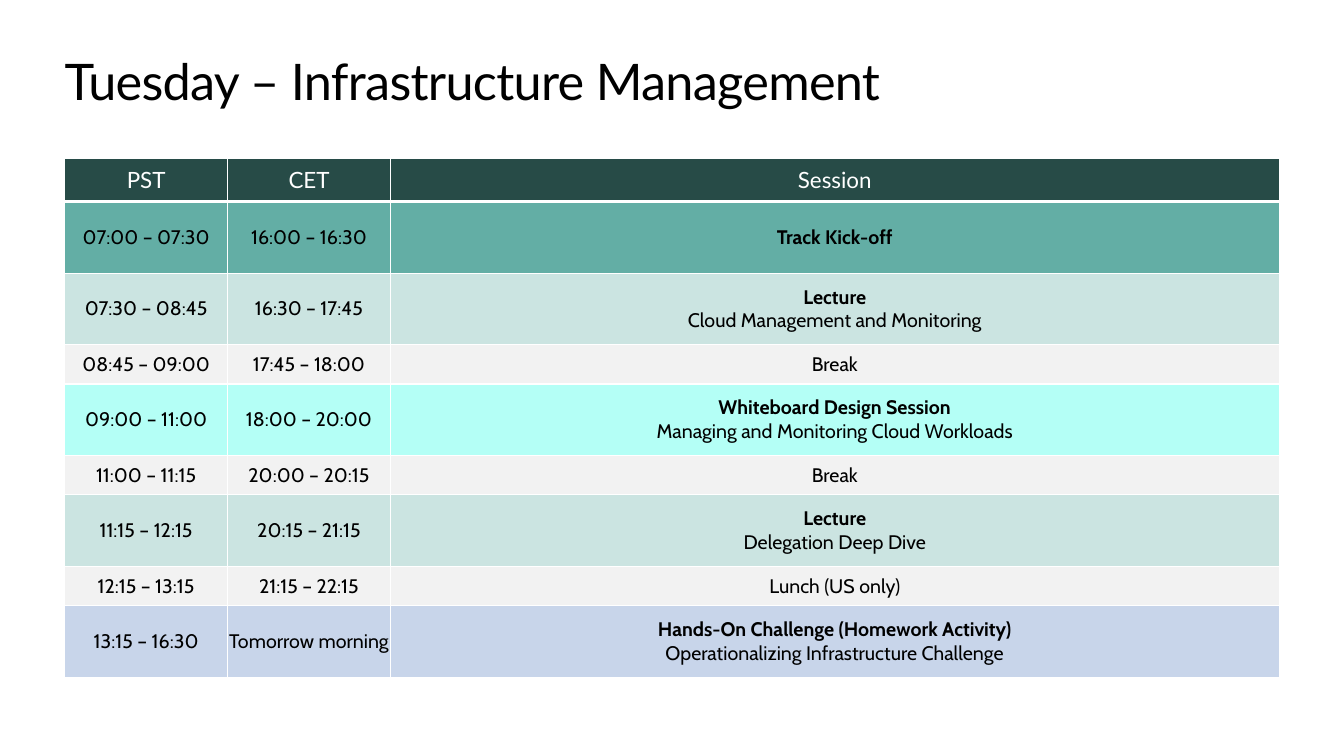
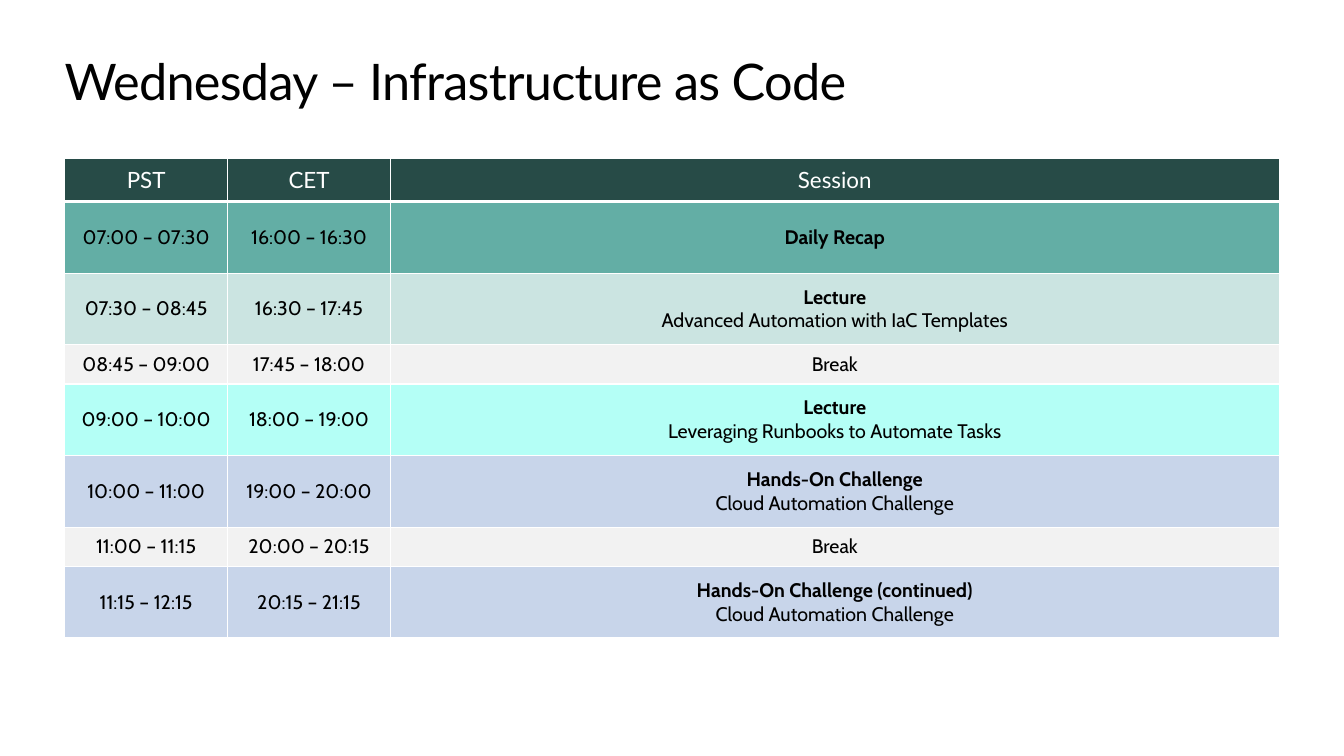
from lxml.etree import SubElement
from pptx import Presentation
from pptx.dml.color import RGBColor
from pptx.enum.text import MSO_ANCHOR as Anchor, PP_ALIGN as Align
from pptx.oxml import parse_xml
from pptx.oxml.ns import nsdecls, qn
from pptx.util import Inches, Pt

HEADING_FONT, BODY_FONT = "Lato", "Cabin"
BLACK, WHITE, HEADER_FILL = "000000", "FFFFFF", "274B47"
FILLS = {
    "opening": "63AEA5",
    "lecture": "CBE4E1",
    "break": "F2F2F2",
    "feature": "B4FFF6",
    "challenge": "C8D5EA",
}
LEFT, WIDTH = 0.64, 12.05
TITLE_TOP, TITLE_HEIGHT, TABLE_TOP = 0.5, 0.61, 1.57
COLUMNS = [("PST", 1.62), ("CET", 1.61), ("Session", 8.82)]
HEADER_HEIGHT, BREAK_HEIGHT, SESSION_HEIGHT = 0.43, 0.39, 0.71
THIN, THICK = 1, 3

DAYS = [
    ("Tuesday – Infrastructure Management", [
        ("opening", "07:00 – 07:30", "16:00 – 16:30", "Track Kick-off", ""),
        ("lecture", "07:30 – 08:45", "16:30 – 17:45", "Lecture", "Cloud Management and Monitoring"),
        ("break", "08:45 – 09:00", "17:45 – 18:00", "", "Break"),
        ("feature", "09:00 – 11:00", "18:00 – 20:00", "Whiteboard Design Session",
         "Managing and Monitoring Cloud Workloads"),
        ("break", "11:00 – 11:15", "20:00 – 20:15", "", "Break"),
        ("lecture", "11:15 – 12:15", "20:15 – 21:15", "Lecture", "Delegation Deep Dive"),
        ("break", "12:15 – 13:15", "21:15 – 22:15", "", "Lunch (US only)"),
        ("challenge", "13:15 – 16:30", "Tomorrow morning", "Hands-On Challenge (Homework Activity)",
         "Operationalizing Infrastructure Challenge"),
    ]),
    ("Wednesday – Infrastructure as Code", [
        ("opening", "07:00 – 07:30", "16:00 – 16:30", "Daily Recap", ""),
        ("lecture", "07:30 – 08:45", "16:30 – 17:45", "Lecture", "Advanced Automation with IaC Templates"),
        ("break", "08:45 – 09:00", "17:45 – 18:00", "", "Break"),
        ("feature", "09:00 – 10:00", "18:00 – 19:00", "Lecture", "Leveraging Runbooks to Automate Tasks"),
        ("challenge", "10:00 – 11:00", "19:00 – 20:00", "Hands-On Challenge", "Cloud Automation Challenge"),
        ("break", "11:00 – 11:15", "20:00 – 20:15", "", "Break"),
        ("challenge", "11:15 – 12:15", "20:15 – 21:15", "Hands-On Challenge (continued)",
         "Cloud Automation Challenge"),
    ]),
]


def rgb(color):
    return RGBColor.from_string(color)


def set_font(p, name, size, color):
    p.font.name, p.font.size = name, Pt(size)
    p.font.color.rgb = rgb(color)


def clear_margins(box):
    box.margin_left = box.margin_top = box.margin_right = box.margin_bottom = 0


def set_borders(cell, top, bottom):
    tc_pr = cell._tc.get_or_add_tcPr()
    sides = {"L": THIN, "R": THIN, "T": top, "B": bottom}
    for i, (side, width) in enumerate(sides.items()):
        ln = parse_xml(f'<a:ln{side} {nsdecls("a")} w="{Pt(width)}"/>')
        SubElement(SubElement(ln, qn("a:solidFill")), qn("a:srgbClr"), val=WHITE)
        tc_pr.insert(i, ln)


def fill_cell(cell, heading, detail, fill, font, top=THIN, bottom=THIN):
    clear_margins(cell)
    cell.vertical_anchor = Anchor.MIDDLE
    cell.fill.solid()
    cell.fill.fore_color.rgb = rgb(fill)
    set_borders(cell, top, bottom)
    p = cell.text_frame.paragraphs[0]
    p.alignment = Align.CENTER
    set_font(p, *font)
    if heading and detail:
        parts = [(heading, True), (None, None), (detail, False)]
    else:
        parts = [(heading or detail, bool(heading))]
    for text, bold in parts:
        if text is None:
            p.add_line_break()
        else:
            r = p.add_run()
            r.text, r.font.bold = text, bold


def add_title(s, title):
    tf = s.shapes.add_textbox(Inches(LEFT), Inches(TITLE_TOP), Inches(WIDTH), Inches(TITLE_HEIGHT)).text_frame
    tf.word_wrap = True
    clear_margins(tf)
    p = tf.paragraphs[0]
    set_font(p, HEADING_FONT, 36, BLACK)
    r = p.add_run()
    r.text = title
    r._r.get_or_add_rPr().set("spc", "-50")


def add_agenda(s, sessions):
    heights = [HEADER_HEIGHT] + [
        BREAK_HEIGHT if kind == "break" else SESSION_HEIGHT for kind, *_ in sessions]
    table = s.shapes.add_table(len(heights), len(COLUMNS), Inches(LEFT), Inches(TABLE_TOP),
                               Inches(WIDTH), Inches(sum(heights))).table
    table.horz_banding = False
    for row, height in zip(table.rows, heights):
        row.height = Inches(height)
    for i, (label, width) in enumerate(COLUMNS):
        table.columns[i].width = Inches(width)
        fill_cell(table.cell(0, i), "", label, HEADER_FILL, (HEADING_FONT, 16, WHITE), bottom=THICK)
    for i, (kind, pst, cet, heading, detail) in enumerate(sessions, 1):
        top = THICK if i == 1 else THIN
        for j, (bold, plain) in enumerate([("", pst), ("", cet), (heading, detail)]):
            fill_cell(table.cell(i, j), bold, plain, FILLS[kind], (BODY_FONT, 14, BLACK), top=top)


def main():
    """Build one agenda slide for each training day."""
    prs = Presentation()
    prs.slide_width, prs.slide_height = Inches(13.33), Inches(7.5)
    for title, sessions in DAYS:
        s = prs.slides.add_slide(prs.slide_layouts[6])
        add_title(s, title)
        add_agenda(s, sessions)
    prs.save("out.pptx")


if __name__ == "__main__":
    main()
